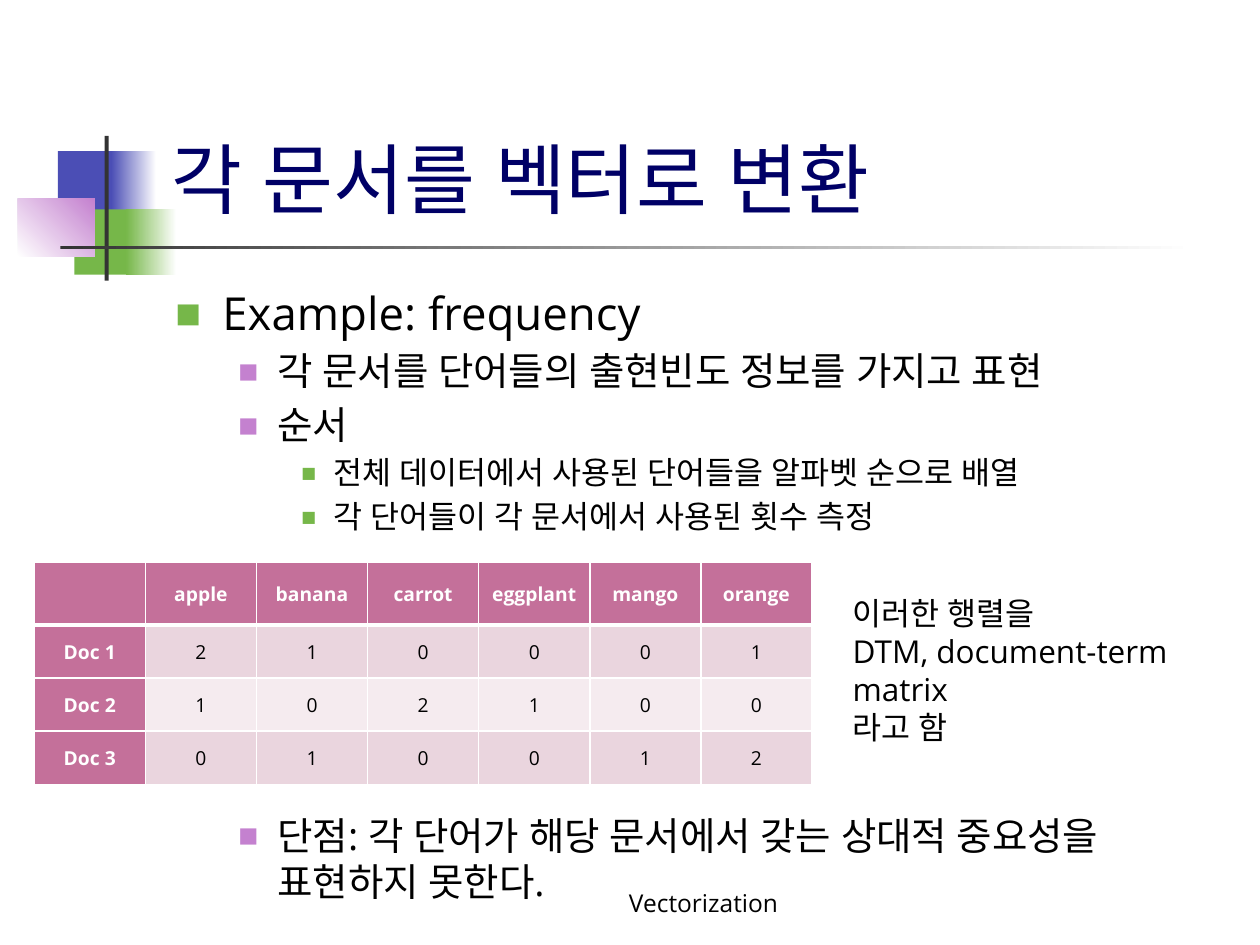
from lxml import etree
from pptx import Presentation
from pptx.dml.color import RGBColor
from pptx.enum.shapes import MSO_SHAPE
from pptx.enum.text import MSO_ANCHOR, MSO_AUTO_SIZE, PP_ALIGN
from pptx.oxml.ns import qn
from pptx.util import Cm, Pt

RECTANGLE = MSO_SHAPE.RECTANGLE
LEFT, CENTER = PP_ALIGN.LEFT, PP_ALIGN.CENTER
TOP, MIDDLE, BOTTOM = MSO_ANCHOR.TOP, MSO_ANCHOR.MIDDLE, MSO_ANCHOR.BOTTOM
NO_FIT = MSO_AUTO_SIZE.NONE

FONT = "Open Sans"
WHITE = RGBColor(0xFF, 0xFF, 0xFF)
BLACK = RGBColor(0x00, 0x00, 0x00)
NAVY = RGBColor(0x00, 0x00, 0x66)
BLUE = RGBColor(0x4B, 0x4E, 0xB5)
GREEN = RGBColor(0x76, 0xB7, 0x49)
LILAC = RGBColor(0xC4, 0x81, 0xCF)
CHARCOAL = RGBColor(0x33, 0x33, 0x33)
ROSE = RGBColor(0xC4, 0x70, 0x9A)
BANDS = (RGBColor(0xEA, 0xD5, 0xDE), RGBColor(0xF5, 0xEB, 0xEF))

TITLE = "각 문서를 벡터로 변환"
FOOTER = "Vectorization"
SIDE_NOTE = ["이러한 행렬을", "DTM, document-term matrix", "라고 함"]
TABLE_GAP = 158  # points kept free in the list for the matrix
# level, text, extra space before
BULLETS = [
    (0, "Example: frequency", 0),
    (1, "각 문서를 단어들의 출현빈도 정보를 가지고 표현", 0),
    (1, "순서", 0),
    (2, "전체 데이터에서 사용된 단어들을 알파벳 순으로 배열", 0),
    (2, "각 단어들이 각 문서에서 사용된 횟수 측정", 0),
    (1, "단점: 각 단어가 해당 문서에서 갖는 상대적 중요성을 표현하지 못한다.", TABLE_GAP),
]
# text size, left margin, hanging indent, bullet colour, bullet percent
LEVELS = [
    (26, Cm(0.95), Cm(0.95), GREEN, 60),
    (22, Cm(2.06), Cm(0.79), LILAC, 55),
    (18, Cm(3.18), Cm(0.64), GREEN, 50),
]
MATRIX = [
    ["", "apple", "banana", "carrot", "eggplant", "mango", "orange"],
    ["Doc 1", "2", "1", "0", "0", "0", "1"],
    ["Doc 2", "1", "0", "2", "1", "0", "0"],
    ["Doc 3", "0", "1", "0", "0", "1", "2"],
]
# left, top, width, height in cm; start colour, end colour, angle
ORNAMENTS = [
    (1.17, 3.05, 1.22, 1.32, BLUE, None, 0),
    (2.24, 3.05, 0.91, 1.32, BLUE, WHITE, 0),
    (1.50, 4.22, 1.17, 1.32, GREEN, None, 0),
    (2.54, 4.22, 1.02, 1.32, GREEN, WHITE, 0),
    (0.36, 4.01, 1.55, 1.17, WHITE, LILAC, 45),
    (2.11, 2.74, 0.08, 2.92, CHARCOAL, None, 0),
    (1.22, 4.95, 22.86, 0.08, CHARCOAL, WHITE, 0),
]


def write(frame, lines, size=18, color=BLACK, bold=False, align=LEFT, anchor=TOP):
    """Fill a text frame with one formatted paragraph per line."""
    frame.word_wrap = True
    frame.vertical_anchor = anchor
    for number, line in enumerate(lines):
        paragraph = frame.add_paragraph() if number else frame.paragraphs[0]
        paragraph.alignment = align
        run = paragraph.add_run()
        run.text = line
        run.font.size = Pt(size)
        run.font.name = FONT
        run.font.bold = bold
        run.font.color.rgb = color
        east_asian = etree.Element(qn("a:ea"), typeface=FONT)
        run.font._element.find(qn("a:latin")).addnext(east_asian)


def place(shape, left, top, width, height):
    """Move and size a shape, in cm."""
    shape.left, shape.top = Cm(left), Cm(top)
    shape.width, shape.height = Cm(width), Cm(height)


def add_ornament(slide, left, top, width, height, start, end, angle):
    """Draw a plain or fading rectangle."""
    block = slide.shapes.add_shape(RECTANGLE, Cm(left), Cm(top), Cm(width), Cm(height))
    block.shadow.inherit = False
    block.line.fill.background()
    if end is None:
        block.fill.solid()
        block.fill.fore_color.rgb = start
        return
    block.fill.gradient()
    block.fill.gradient_angle = angle
    for stop, color, position in zip(block.fill.gradient_stops, (start, end), (0, 1)):
        stop.color.rgb = color
        stop.position = position


def format_bullet(paragraph, level, gap):
    """Give a paragraph its level's size, indent and square bullet."""
    size, margin, hanging, color, percent = LEVELS[level]
    paragraph.level = level
    paragraph.space_before = Pt(gap or round(size * 0.2, 1))
    paragraph.runs[0].font.size = Pt(size)
    properties = paragraph._p.get_or_add_pPr()
    properties.set("marL", str(margin))
    properties.set("indent", str(-hanging))
    bullet_color = etree.SubElement(properties, qn("a:buClr"))
    etree.SubElement(bullet_color, qn("a:srgbClr"), val=str(color))
    etree.SubElement(properties, qn("a:buSzPct"), val=str(percent * 1000))
    etree.SubElement(properties, qn("a:buFont"), typeface=FONT)
    etree.SubElement(properties, qn("a:buChar"), char="■")


def set_borders(cell, **widths):
    """Draw white cell borders; widths in points by side."""
    properties = cell._tc.get_or_add_tcPr()
    for side, width in widths.items():
        border = etree.SubElement(properties, qn("a:ln" + side), w=str(Pt(width)))
        fill = etree.SubElement(border, qn("a:solidFill"))
        etree.SubElement(fill, qn("a:srgbClr"), val=str(WHITE))


def add_matrix(slide):
    """Add the document-term matrix."""
    column_width, header_height, row_height = Cm(2.24), Cm(1.27), Cm(1.07)
    rows, columns = len(MATRIX), len(MATRIX[0])
    matrix = slide.shapes.add_table(
        rows, columns, Cm(0.69), Cm(11.33), column_width * columns,
        header_height + row_height * (rows - 1)).table
    for column in matrix.columns:
        column.width = column_width
    for r, values in enumerate(MATRIX):
        matrix.rows[r].height = row_height if r else header_height
        for c, value in enumerate(values):
            cell = matrix.cell(r, c)
            heading = r == 0 or c == 0
            set_borders(cell, L=1, R=1, T=3 if r == 1 else 1, B=1 if r else 3)
            cell.fill.solid()
            cell.fill.fore_color.rgb = ROSE if heading else BANDS[(r - 1) % 2]
            cell.margin_left = cell.margin_right = Cm(0.1)
            cell.vertical_anchor = MIDDLE
            if value:
                write(cell.text_frame, [value], size=11, bold=heading, align=CENTER,
                      color=WHITE if heading else BLACK, anchor=None)


def add_label(slide, box, lines, **text_format):
    """Add a text box at the given cm position."""
    label = slide.shapes.add_textbox(*map(Cm, box))
    write(label.text_frame, lines, **text_format)


deck = Presentation()
deck.slide_width, deck.slide_height = Cm(25.4), Cm(19.05)
slide = deck.slides.add_slide(deck.slide_layouts[1])

for ornament in ORNAMENTS:
    add_ornament(slide, *ornament)

title, body = slide.shapes.title, slide.placeholders[1]
place(title, 3.2, 0.58, 21.64, 4.06)
title.text_frame.auto_size = NO_FIT
write(title.text_frame, [TITLE], size=44, color=NAVY, anchor=BOTTOM)

place(body, 3.28, 5.61, 21.59, 11.43)
body.text_frame.auto_size = NO_FIT
write(body.text_frame, [text for _, text, _ in BULLETS])
for paragraph, (level, _, gap) in zip(body.text_frame.paragraphs, BULLETS):
    format_bullet(paragraph, level, gap)

add_label(slide, (10.16, 17.35, 8.05, 1.27), [FOOTER], size=14, align=CENTER, anchor=BOTTOM)
add_matrix(slide)
add_label(slide, (16.94, 11.86, 8.53, 2.57), SIDE_NOTE)

deck.save("out.pptx")
